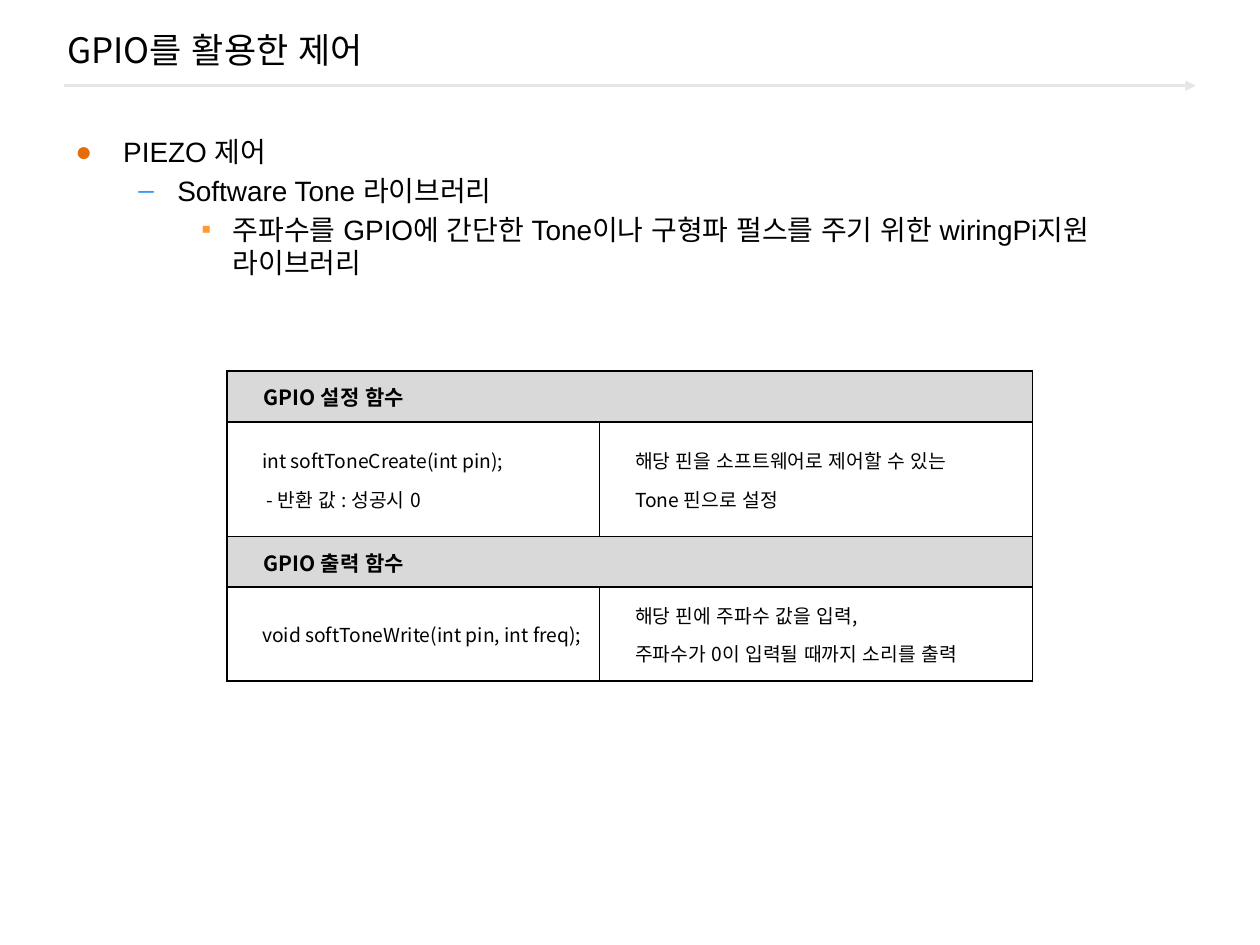
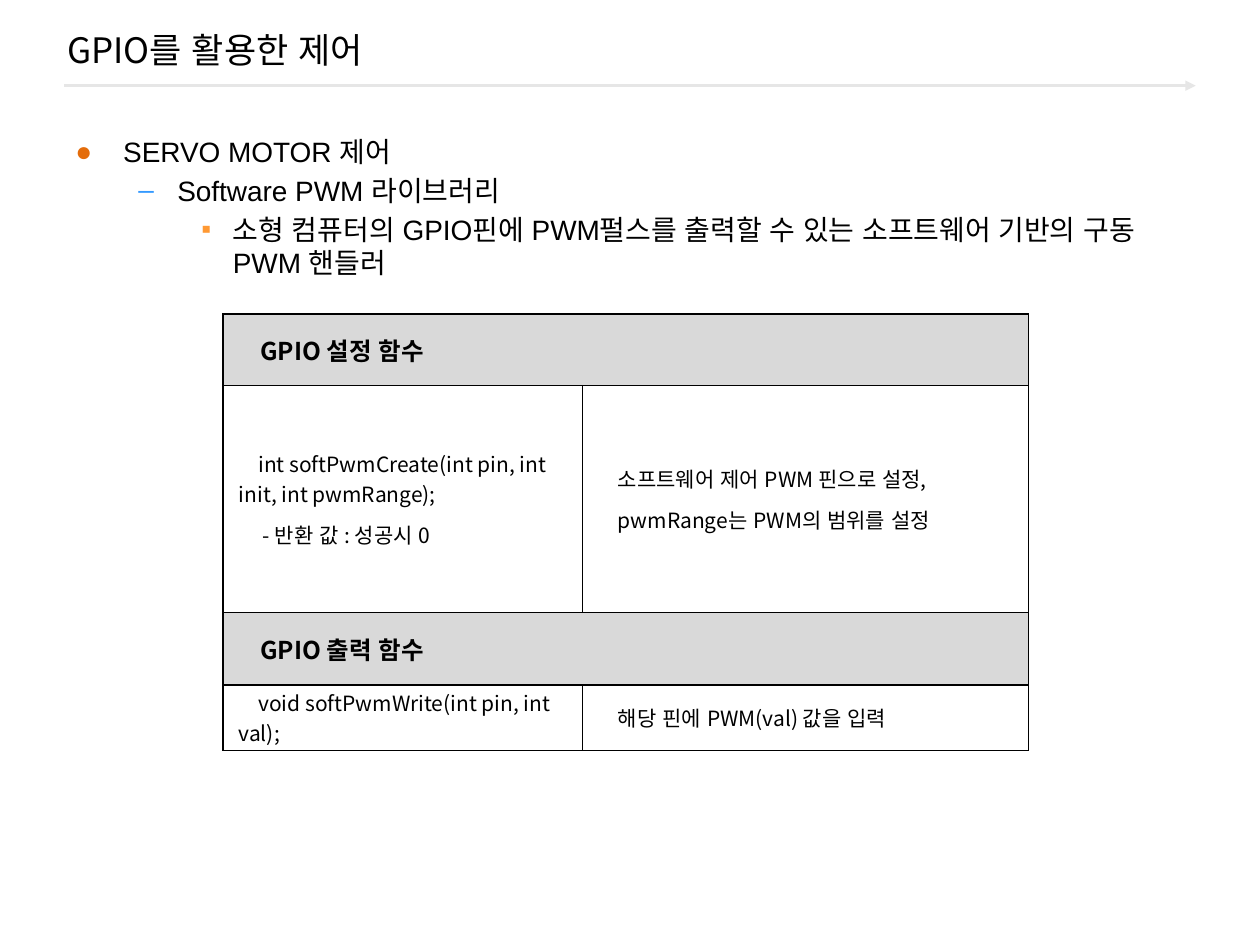
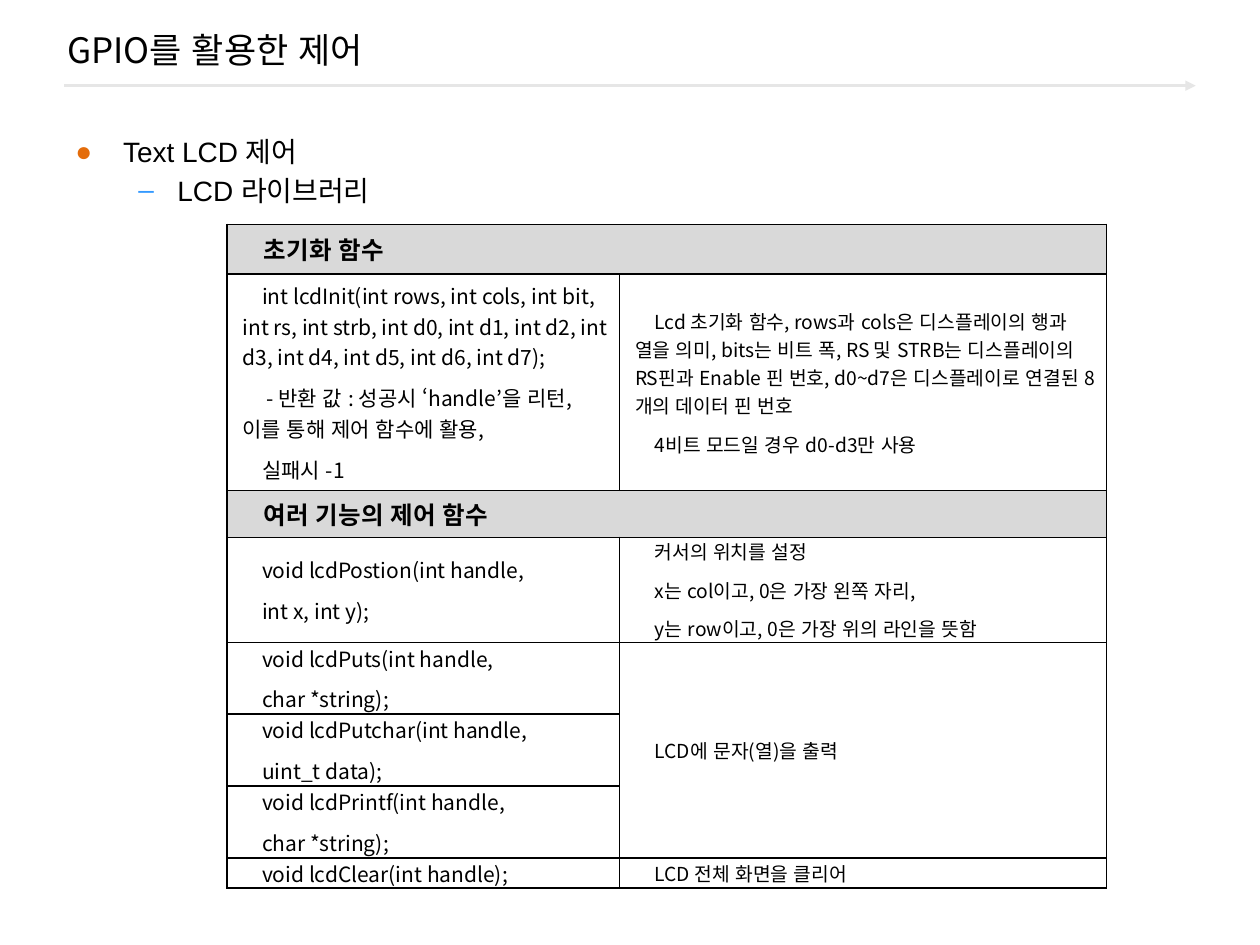
from lxml import etree
from pptx import Presentation
from pptx import util as u
from pptx.dml.color import RGBColor
from pptx.enum import shapes, text
from pptx.oxml import ns

COLORS = {"ink": "000000", "rule": "E6E6E6", "head": "D9D9D9", "cell": "FFFFFF"}
SANS, LATIN = "Noto Sans CJK KR", "Arial"
TITLE = "GPIO를 활용한 제어"
# Bullet sign, its colour, left margin and first-line indent in grid units
LEVELS = [("●", "E46C0A", 3.8, -3.8),
          ("–", "3399FF", 8.1, -3.1),
          ("▪", "FF9933", 12.5, -2.5)]


def grid(n):
    """Length of n grid units; the slide is 100 columns by 75 rows."""
    return u.Inches(n / 10)


def rgb(name):
    return RGBColor.from_string(COLORS[name])


def sub(node, tag, **attrs):
    return etree.SubElement(node, ns.qn(tag), **attrs)


def style(para, size, font=SANS, bold=False):
    for run in para.runs:
        run.font.size = u.Pt(size)
        run.font.bold = bold
        run.font.name = font
        run.font.color.rgb = rgb("ink")
        props = run._r.get_or_add_rPr()
        props.set("lang", "ko-KR")
        props.set("kern", "0")
        sub(props, "a:ea", typeface=SANS)


def indent(para, left, first):
    props = para._p.get_or_add_pPr()
    props.set("marL", str(grid(left)))
    props.set("indent", str(grid(first)))
    return props


def add_box(slide, left, top, width, height):
    frame = slide.shapes.add_textbox(*map(grid, (left, top, width, height))).text_frame
    frame.word_wrap = True
    return frame


def add_title(slide):
    frame = add_box(slide, 4.35, 0.75, 91.3, 6.4)
    frame.vertical_anchor = text.MSO_ANCHOR.MIDDLE
    frame.text = TITLE
    style(frame.paragraphs[0], 20)


def add_rule(slide):
    rule = slide.shapes.add_connector(
        shapes.MSO_CONNECTOR.STRAIGHT, *map(grid, (5.1, 6.8, 94.9, 6.8)))
    rule.line.color.rgb = rgb("rule")
    rule.line.width = u.Pt(1.5)
    sub(rule.line._get_or_add_ln(), "a:tailEnd", type="triangle")
    sub(rule._element.spPr, "a:effectLst")


def add_points(slide, points):
    """One bullet per level, each a step deeper."""
    frame = add_box(slide, 5, 10.2, 90, 60.2)
    frame.text = "\n".join(points)
    for i, (para, level) in enumerate(zip(frame.paragraphs, LEVELS)):
        sign, color, left, first = level
        props = indent(para, left, first)
        sub(sub(props, "a:buClr"), "a:srgbClr", val=color)
        sub(props, "a:buFont", typeface=LATIN)
        sub(props, "a:buChar", char=sign)
        if i:
            para.space_before = u.Pt(3)
        style(para, 16, LATIN)


def add_edges(cell):
    props = cell._tc.get_or_add_tcPr()
    for side in ("a:lnL", "a:lnR", "a:lnT", "a:lnB"):
        edge = sub(props, side, w=str(u.Pt(1)))
        sub(sub(edge, "a:solidFill"), "a:srgbClr", val=COLORS["ink"])


def paint(cell, fill):
    add_edges(cell)
    cell.fill.solid()
    cell.fill.fore_color.rgb = rgb(fill)
    cell.vertical_anchor = text.MSO_ANCHOR.MIDDLE
    cell.margin_left = cell.margin_right = grid(0.75)
    cell.margin_top = cell.margin_bottom = 0


def write(cell, words, size, bold=False):
    cell.text_frame.text = words
    for i, para in enumerate(cell.text_frame.paragraphs):
        first = 1.7 if bold else 1.9 if para.text.startswith("-") else 1.55
        indent(para, 0.5, first).set("hangingPunct", "0")
        if i:
            para.space_before = u.Pt(6)
        style(para, size, bold=bold)


def add_table(slide, left, top, cols, rows, sizes, body):
    """A one-item row is a heading; None joins the cell to the one above."""
    table = slide.shapes.add_table(
        len(rows), len(cols), *map(grid, (left, top, sum(cols), sum(rows)))).table
    table.first_row = table.horz_banding = False
    for col, width in zip(table.columns, cols):
        col.width = grid(width)
    head, *plain = sizes
    start = 0
    for r, (height, items) in enumerate(zip(rows, body)):
        table.rows[r].height = grid(height)
        title = len(items) == 1
        for c in range(len(cols)):
            paint(table.cell(r, c), "head" if title else "cell")
        if title:
            write(table.cell(r, 0), items[0], head, True)
            table.cell(r, 0).merge(table.cell(r, 1))
            continue
        for c, words in enumerate(items):
            if words:
                write(table.cell(r, c), words, plain[c])
        if items[1]:
            start = r
        elif r + 1 == len(body) or body[r + 1][-1]:
            table.cell(start, 1).merge(table.cell(r, 1))


PAGES = [
    (["PIEZO 제어", "Software Tone 라이브러리",
      "주파수를 GPIO에 간단한 Tone이나 구형파 펄스를 주기 위한 wiringPi지원 라이브러리"],
     dict(left=18, top=29.45, cols=[29.6, 34.35], rows=[4.05, 9.1, 4, 7.45],
          sizes=(12, 11, 11), body=[
              ["GPIO 설정 함수"],
              ["int softToneCreate(int pin);\n- 반환 값 : 성공시 0",
               "해당 핀을 소프트웨어로 제어할 수 있는\nTone 핀으로 설정"],
              ["GPIO 출력 함수"],
              ["void softToneWrite(int pin, int freq);",
               "해당 핀에 주파수 값을 입력,\n주파수가 0이 입력될 때까지 소리를 출력"]])),
    (["SERVO MOTOR 제어", "Software PWM 라이브러리",
      "소형 컴퓨터의 GPIO핀에 PWM펄스를 출력할 수 있는 소프트웨어 기반의 구동 PWM 핸들러"],
     dict(left=17.7, top=24.9, cols=[28.55, 35.4], rows=[5.7, 18, 5.75, 5.2],
          sizes=(14, 12, 12), body=[
              ["GPIO 설정 함수"],
              ["int softPwmCreate(int pin, int init, int pwmRange);\n- 반환 값 : 성공시 0",
               "소프트웨어 제어 PWM 핀으로 설정,\npwmRange는 PWM의 범위를 설정"],
              ["GPIO 출력 함수"],
              ["void softPwmWrite(int pin, int val);", "해당 핀에 PWM(val) 값을 입력"]])),
    (["Text LCD 제어", "LCD 라이브러리"],
     dict(left=18, top=17.8, cols=[31.15, 38.65],
          rows=[3.95, 17.2, 3.7, 8.35, 5.7, 5.7, 5.7, 2.4],
          sizes=(14, 12, 11), body=[
              ["초기화 함수"],
              ["int lcdInit(int rows, int cols, int bit, int rs, int strb, int d0, "
               "int d1, int d2, int d3, int d4, int d5, int d6, int d7);\n"
               "- 반환 값 : 성공시 ‘handle’을 리턴, 이를 통해 제어 함수에 활용,\n실패시 -1",
               "Lcd 초기화 함수, rows과 cols은 디스플레이의 행과 열을 의미, "
               "bits는 비트 폭, RS 및 STRB는 디스플레이의 RS핀과 Enable 핀 번호, "
               "d0~d7은 디스플레이로 연결된 8개의 데이터 핀 번호\n"
               "4비트 모드일 경우 d0-d3만 사용"],
              ["여러 기능의 제어 함수"],
              ["void lcdPostion(int handle,\nint x, int y);",
               "커서의 위치를 설정\nx는 col이고, 0은 가장 왼쪽 자리,\n"
               "y는 row이고, 0은 가장 위의 라인을 뜻함"],
              ["void lcdPuts(int handle,\nchar *string);", "LCD에 문자(열)을 출력"],
              ["void lcdPutchar(int handle,\nuint_t data);", None],
              ["void lcdPrintf(int handle,\nchar *string);", None],
              ["void lcdClear(int handle);", "LCD 전체 화면을 클리어"]])),
]


def main():
    deck = Presentation()
    deck.slide_width, deck.slide_height = grid(100), grid(75)
    for points, table in PAGES:
        slide = deck.slides.add_slide(deck.slide_layouts[6])
        add_rule(slide)
        add_title(slide)
        add_points(slide, points)
        add_table(slide, **table)
    deck.save("out.pptx")


if __name__ == "__main__":
    main()
